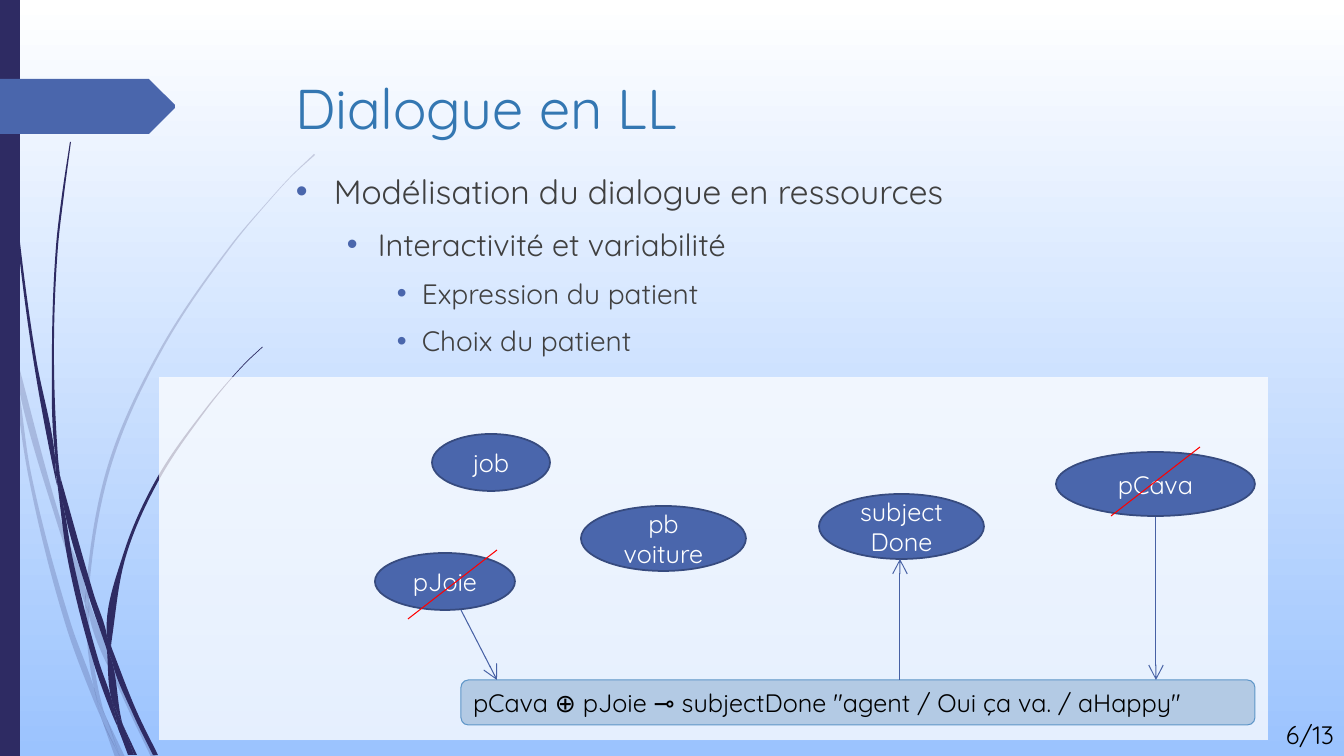
from lxml.etree import SubElement
from pptx import Presentation
from pptx.dml.color import RGBColor
from pptx.enum.shapes import MSO_CONNECTOR, MSO_SHAPE
from pptx.enum.text import MSO_ANCHOR, MSO_AUTO_SIZE, PP_ALIGN
from pptx.oxml.ns import qn
from pptx.util import Pt

WIDTH, HEIGHT = 1344, 756
SCALE = 12192000 / WIDTH
FONT = "Quicksand"

WHITE = RGBColor(0xFF, 0xFF, 0xFF)
BLACK = RGBColor(0, 0, 0)
RED = RGBColor(0xFF, 0, 0)
SKY = RGBColor(0x9B, 0xC3, 0xFE)
NAVY = RGBColor(0x2E, 0x2B, 0x63)
BLUE = RGBColor(0x4A, 0x66, 0xAC)
OUTLINE = RGBColor(0x37, 0x4B, 0x7F)
ARROW = RGBColor(0x47, 0x61, 0xA4)
TITLE = RGBColor(0x34, 0x77, 0xB2)
GRAY = RGBColor(0x40, 0x40, 0x40)
RULE_FILL = RGBColor(0xB3, 0xCA, 0xE4)
RULE_LINE = RGBColor(0x5E, 0x96, 0xC8)

# Pieces of the grass blades: knots "x,y" of each closed outline
PALE_GRASS = [
    "11,353 9,325 0,284 0,301 10,347",
    "58,526 85,604 86,591 62,524 14,348 17,379",
    "93,612 89,601 89,615 124,700 151,757 156,757 128,698",
    "120,757 125,757 106,717",
    "94,688 71,624 31,473 17,379 11,353 28,474 66,626 93,699 102,720 100,713",
    "85,604 88,651 94,688 97,698 106,717 104,712 92,651 89,615 89,613",
    "89,589 111,466 161,352 231,247 270,200 292,176 315,155 314,154 291,176 "
    "270,199 230,246 159,351 108,465 86,589 86,591 89,601",
    "102,720 115,757 120,757",
    "89,613 89,615 89,601 86,591 85,604",
    "97,698 94,688 100,713 102,720 120,757 106,717",
]
DARK_GRASS = [
    "7,111 17,235 33,358 56,481 57,485 55,461 55,457 36,358 19,234 8,110 "
    "5,48 4,0 3,0 4,48",
    "89,597 107,650 107,638 107,636 94,595 60,476 64,509",
    "114,654 111,646 112,661 133,714 153,755 158,755 137,712",
    "111,697 99,662 73,560 64,509 57,481 68,561 94,664 112,714 118,728 117,723",
    "60,476 58,457 54,352 58,247 64,195 71,142 70,142 62,195 56,247 52,352 55,453",
    "134,755 137,755 123,725",
    "57,481 64,509 60,476 55,453 55,457",
    "112,638 126,556 159,480 207,409 233,377 247,362 263,347 262,347 247,361 "
    "233,376 206,408 157,478 123,555 107,636 111,646",
    "118,728 128,755 132,755",
    "107,650 111,697 117,712 123,725 122,722 112,661 110,656",
    "107,650 110,656 112,661 111,646 107,636 107,638",
    "117,712 111,697 117,723 118,728 131,755 134,755 123,725",
]
BANNER = "0,79 149,79 175,105 175,108 149,134 0,134"

BULLETS = [  # text, level, size, left margin, hanging indent
    ("Modélisation du dialogue en ressources", 0, 24, 38, 38),
    ("Interactivité et variabilité", 1, 22, 82, 31),
    ("Expression du patient", 2, 20, 126, 25),
    ("Choix du patient", 2, 20, 126, 25),
]


def px(length):
    return round(length * SCALE)


def paint(shape, fill, line=None, line_width=1, alpha=None):
    shape.shadow.inherit = False
    shape.fill.solid()
    shape.fill.fore_color.rgb = fill
    if alpha is not None:
        color = shape._element.spPr.find(qn("a:solidFill"))[0]
        SubElement(color, qn("a:alpha"), val=str(alpha * 1000))
    if line is None:
        shape.line.fill.background()
    else:
        shape.line.color.rgb = line
        shape.line.width = Pt(line_width)


def add_box(slide, kind, box, fill, **style):
    shape = slide.shapes.add_shape(kind, *map(px, box))
    paint(shape, fill, **style)
    return shape


def add_run(paragraph, text, size, color, align=PP_ALIGN.LEFT):
    paragraph.alignment = align
    run = paragraph.add_run()
    run.text = text
    run.font.name = FONT
    run.font.size = Pt(size)
    run.font.color.rgb = color


def add_line(slide, start, end, color, arrow=False):
    line = slide.shapes.add_connector(MSO_CONNECTOR.STRAIGHT, *map(px, start + end))
    line.line.color.rgb = color
    line.line.width = Pt(0.75)
    properties = line._element.spPr
    if arrow:
        SubElement(properties.find(qn("a:ln")), qn("a:tailEnd"),
                   type="arrow", w="lg", len="lg")
    SubElement(properties, qn("a:effectLst"))


def bezier_points(knots):
    """Two handles and an end for each side: smooth at soft turns, sharp at corners."""
    points = [complex(*knot) for knot in knots]
    chords = [b - a for a, b in zip(points, points[1:] + points[:1])]
    units = [chord / abs(chord) for chord in chords]
    curve = []
    for i, chord in enumerate(chords):
        reach, following = abs(chord) / 3, (i + 1) % len(points)
        before, here, after = units[i - 1], units[i], units[following]
        leave, arrive = [(here + near) / abs(here + near)
                         if (here * near.conjugate()).real > 0.8 else here
                         for near in (before, after)]
        end = points[following]
        curve += [points[i] + leave * reach, end - arrive * reach, end]
    return [(px(point.real), px(point.imag)) for point in curve]


def add_outline(slide, knot_text, fill, alpha=None):
    knots = [tuple(map(int, knot.split(","))) for knot in knot_text.split()]
    builder = slide.shapes.build_freeform(*map(px, knots[0]), scale=1.0)
    builder.add_line_segments(bezier_points(knots), close=True)
    shape = builder.convert_to_shape()
    lines = list(shape._element.iter(qn("a:lnTo")))
    for first, second, third in zip(lines[::3], lines[1::3], lines[2::3]):
        curve = SubElement(first.getparent(), qn("a:cubicBezTo"))
        first.addprevious(curve)
        for line in (first, second, third):
            curve.append(line[0])
            line.getparent().remove(line)
    paint(shape, fill, alpha=alpha)


def add_backdrop(slide):
    fill = slide.background.fill
    fill.gradient()
    fill.gradient_angle = 270
    for stop, color in zip(fill.gradient_stops, (WHITE, SKY)):
        stop.color.rgb = color
    for pieces, alpha in [(PALE_GRASS, 20), (DARK_GRASS, None)]:
        for piece in pieces:
            add_outline(slide, piece, NAVY, alpha)
    add_box(slide, MSO_SHAPE.RECTANGLE, (0, 0, 20, HEIGHT), NAVY)
    add_outline(slide, BANNER, BLUE)


def place_title(slide, box):
    title = slide.shapes.title
    title.left, title.top, title.width, title.height = map(px, box)
    frame = title.text_frame
    frame.auto_size = MSO_AUTO_SIZE.NONE
    frame.vertical_anchor = MSO_ANCHOR.TOP
    add_run(frame.paragraphs[0], "Dialogue en LL", 40, TITLE)


def add_bullets(slide, box):
    frame = slide.shapes.add_textbox(*map(px, box)).text_frame
    frame.word_wrap = True
    for index, (text, level, size, margin, hanging) in enumerate(BULLETS):
        paragraph = frame.add_paragraph() if index else frame.paragraphs[0]
        paragraph.level = level
        paragraph.space_before = Pt(10)
        add_run(paragraph, text, size, GRAY)
        properties = paragraph._p.get_or_add_pPr()
        properties.set("marL", str(px(margin)))
        properties.set("indent", str(-px(hanging)))
        color = SubElement(properties, qn("a:buClr"))
        SubElement(color, qn("a:srgbClr"), val=str(BLUE))
        SubElement(properties, qn("a:buFont"), typeface="Arial")
        SubElement(properties, qn("a:buChar"), char="•")


def add_diagram(slide, left, top, width, height):
    def at(x, y):
        return left + x, top + y

    add_box(slide, MSO_SHAPE.RECTANGLE, (left, top, width, height), WHITE, alpha=74)
    for text, x, y, w, h in [("job", 273, 57, 118, 57), ("pb voiture", 422, 129, 165, 65),
                             ("pJoie", 216, 176, 140, 57), ("pCava", 897, 75, 199, 64),
                             ("subjectDone", 660, 117, 165, 65)]:
        oval = add_box(slide, MSO_SHAPE.OVAL, (*at(x, y), w, h), BLUE,
                       line=OUTLINE, line_width=1.25)
        oval.text_frame.vertical_anchor = MSO_ANCHOR.MIDDLE
        add_run(oval.text_frame.paragraphs[0], text, 18, WHITE, PP_ALIGN.CENTER)
    rule = add_box(slide, MSO_SHAPE.ROUNDED_RECTANGLE, (*at(302, 303), 794, 45),
                   RULE_FILL, line=RULE_LINE, line_width=0.75)
    rule.text_frame.vertical_anchor = MSO_ANCHOR.TOP
    add_run(rule.text_frame.paragraphs[0],
            'pCava ⊕ pJoie ⊸ subjectDone "agent / Oui ça va. / aHappy"', 18, BLACK)
    for start, end in [((302, 233), (338, 303)), ((997, 140), (997, 303)),
                       ((741, 303), (741, 182))]:
        add_line(slide, at(*start), at(*end), ARROW, arrow=True)
    for x, y in [(249, 242), (952, 139)]:
        add_line(slide, at(x, y), at(x + 89, y - 69), RED)


def add_page_number(slide, box):
    frame = slide.shapes.add_textbox(*map(px, box)).text_frame
    frame.word_wrap = True
    add_run(frame.paragraphs[0], "6/13", 18, BLACK, PP_ALIGN.RIGHT)


def main():
    presentation = Presentation()
    presentation.slide_width, presentation.slide_height = px(WIDTH), px(HEIGHT)
    slide = presentation.slides.add_slide(presentation.slide_layouts[5])
    add_backdrop(slide)
    place_title(slide, (285, 68, 983, 141))
    add_bullets(slide, (286, 166, 983, 321))
    add_diagram(slide, 159, 377, 1109, 363)
    add_page_number(slide, (1241, 714, 103, 42))
    presentation.save("out.pptx")


if __name__ == "__main__":
    main()
